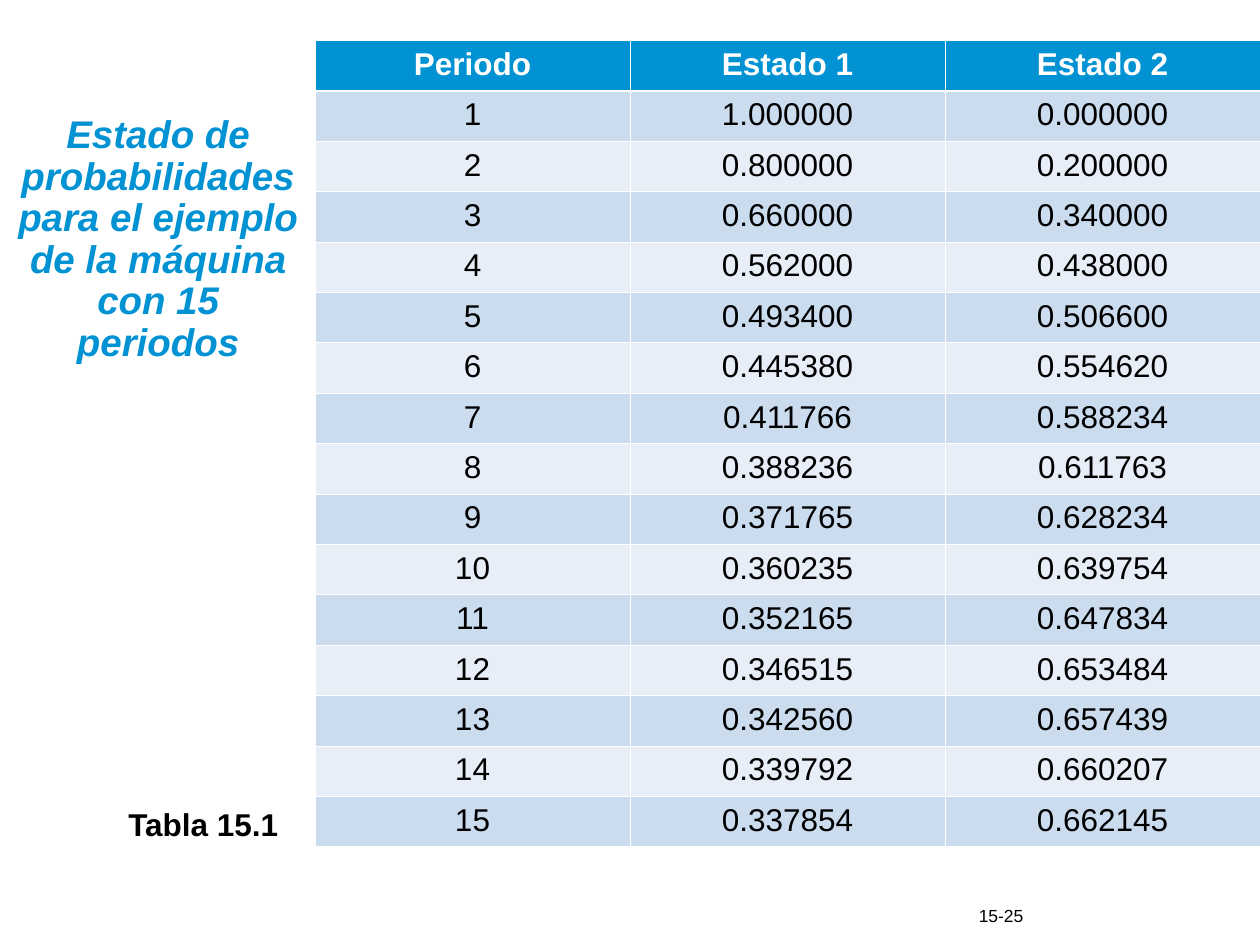
from dataclasses import dataclass
from typing import Optional

import lxml.etree
import pptx
import pptx.dml.color
import pptx.enum.text
import pptx.oxml.ns
import pptx.util

Inches = pptx.util.Inches
Align = pptx.enum.text.PP_ALIGN
Anchor = pptx.enum.text.MSO_ANCHOR


@dataclass(frozen=True)
class Theme:
    font: str = "Arial"
    accent: str = "0092D3"
    ink: str = "000000"
    white: str = "FFFFFF"
    odd_band: str = "CBDCEF"
    even_band: str = "E7EEF7"
    title_size: int = 22
    body_size: int = 18
    number_size: int = 10
    rule: float = 0.45
    header_rule: float = 1.47


@dataclass(frozen=True)
class Label:
    text: str
    left: float
    top: float
    width: float
    height: float
    size: int
    color: str
    bold: bool = False
    italic: bool = False
    wrap: bool = True
    align: Align = Align.LEFT
    anchor: Anchor = Anchor.TOP
    line_spacing: Optional[float] = None
    space_before: Optional[float] = None


@dataclass(frozen=True)
class PeriodState:
    state_1: str
    state_2: str


THEME = Theme()

LABELS = [
    Label("15-25", 7.67, 7.13, 2.33, 0.37, THEME.number_size, THEME.ink),
    Label("Estado de probabilidades para el ejemplo de la máquina con 15 periodos",
          0, 0.42, 2.51, 2.97, THEME.title_size, THEME.accent, bold=True, italic=True,
          align=Align.CENTER, anchor=Anchor.MIDDLE, line_spacing=0.9, space_before=5.5),
    Label("Tabla 15.1", 0.92, 6.34, 1.41, 0.4, THEME.body_size, THEME.ink,
          bold=True, wrap=False),
]

HEADINGS = ["Periodo", "Estado 1", "Estado 2"]
STATES = [
    PeriodState("1.000000", "0.000000"),
    PeriodState("0.800000", "0.200000"),
    PeriodState("0.660000", "0.340000"),
    PeriodState("0.562000", "0.438000"),
    PeriodState("0.493400", "0.506600"),
    PeriodState("0.445380", "0.554620"),
    PeriodState("0.411766", "0.588234"),
    PeriodState("0.388236", "0.611763"),
    PeriodState("0.371765", "0.628234"),
    PeriodState("0.360235", "0.639754"),
    PeriodState("0.352165", "0.647834"),
    PeriodState("0.346515", "0.653484"),
    PeriodState("0.342560", "0.657439"),
    PeriodState("0.339792", "0.660207"),
    PeriodState("0.337854", "0.662145"),
]

COLUMN_WIDTH = 2.5
ROW_HEIGHT = 0.4


def rgb(color: str) -> pptx.dml.color.RGBColor:
    return pptx.dml.color.RGBColor.from_string(color)


def format_runs(paragraph, size: int, color: str, bold: bool = False,
                italic: bool = False) -> None:
    for run in paragraph.runs:
        run.font.name = THEME.font
        run.font.size = pptx.util.Pt(size)
        run.font.color.rgb = rgb(color)
        run.font.bold = bold
        run.font.italic = italic


def draw_label(slide, label: Label) -> None:
    box = slide.shapes.add_textbox(Inches(label.left), Inches(label.top),
                                   Inches(label.width), Inches(label.height))
    frame = box.text_frame
    frame.text = label.text
    frame.word_wrap = label.wrap
    frame.vertical_anchor = label.anchor
    if not label.wrap:
        frame.auto_size = pptx.enum.text.MSO_AUTO_SIZE.SHAPE_TO_FIT_TEXT
    paragraph = frame.paragraphs[0]
    paragraph.alignment = label.align
    if label.line_spacing is not None:
        paragraph.line_spacing = label.line_spacing
    if label.space_before is not None:
        paragraph.space_before = pptx.util.Pt(label.space_before)
    format_runs(paragraph, label.size, label.color, label.bold, label.italic)


def draw_borders(cell, top: float, bottom: float) -> None:
    properties = cell._tc.get_or_add_tcPr()
    qn = pptx.oxml.ns.qn
    sides = {"a:lnL": THEME.rule, "a:lnR": THEME.rule, "a:lnT": top, "a:lnB": bottom}
    for side, width in sides.items():
        line = lxml.etree.SubElement(properties, qn(side), w=str(int(pptx.util.Pt(width))))
        fill = lxml.etree.SubElement(line, qn("a:solidFill"))
        lxml.etree.SubElement(fill, qn("a:srgbClr"), val=THEME.white)


def draw_cell(cell, text: str, row: int) -> None:
    is_header = row == 0
    draw_borders(cell,
                 top=THEME.header_rule if row == 1 else THEME.rule,
                 bottom=THEME.header_rule if is_header else THEME.rule)
    band = THEME.odd_band if row % 2 else THEME.even_band
    cell.fill.solid()
    cell.fill.fore_color.rgb = rgb(THEME.accent if is_header else band)
    cell.text_frame.text = text
    paragraph = cell.text_frame.paragraphs[0]
    paragraph.alignment = Align.CENTER
    format_runs(paragraph, THEME.body_size, THEME.white if is_header else THEME.ink,
                bold=is_header)


def draw_state_table(slide) -> None:
    rows = [HEADINGS] + [[str(period), state.state_1, state.state_2]
                         for period, state in enumerate(STATES, start=1)]
    table = slide.shapes.add_table(
        len(rows), len(HEADINGS), Inches(2.5), Inches(0.32),
        Inches(COLUMN_WIDTH * len(HEADINGS)), Inches(ROW_HEIGHT * len(rows))).table
    for column in table.columns:
        column.width = Inches(COLUMN_WIDTH)
    for row, texts in enumerate(rows):
        table.rows[row].height = Inches(ROW_HEIGHT)
        for column, text in enumerate(texts):
            draw_cell(table.cell(row, column), text, row)


def main() -> None:
    presentation = pptx.Presentation()
    presentation.slide_width = Inches(10)
    presentation.slide_height = Inches(7.5)
    slide = presentation.slides.add_slide(presentation.slide_layouts[6])
    draw_state_table(slide)
    for label in LABELS:
        draw_label(slide, label)
    presentation.save("out.pptx")


if __name__ == "__main__":
    main()
